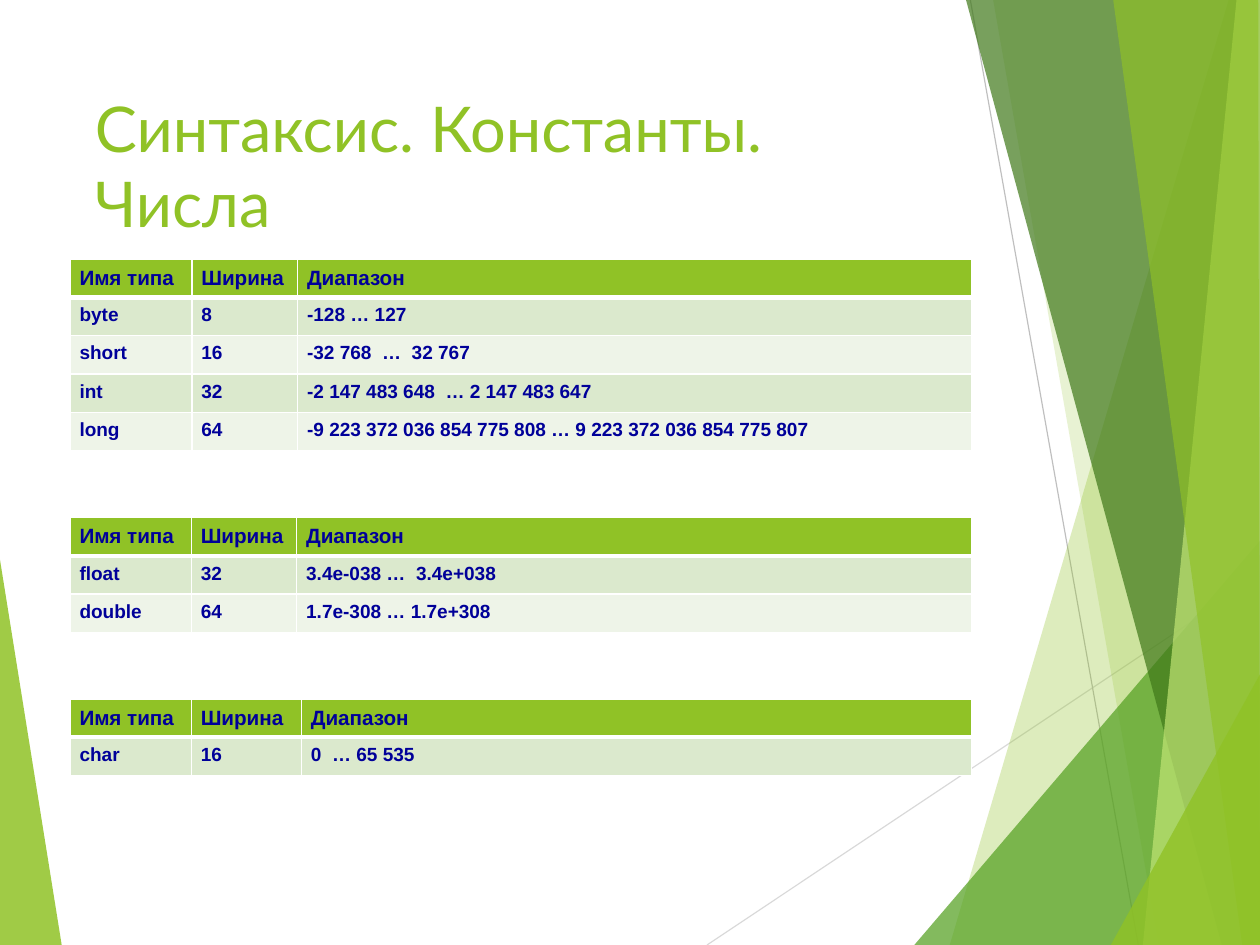
from dataclasses import dataclass

from lxml.etree import SubElement
from pptx import Presentation
from pptx.dml.color import RGBColor
from pptx.enum.shapes import MSO_CONNECTOR
from pptx.enum.text import MSO_ANCHOR, MSO_AUTO_SIZE, PP_ALIGN
from pptx.oxml.ns import qn
from pptx.util import Pt

WIDTH, HEIGHT = 793.75, 595.25

TITLE = "Синтаксис. Константы. Числа"
HEADINGS = ("Имя типа", "Ширина", "Диапазон")
TYPE_TABLES = [
    (163.3, (76.8, 66.6), [
        ("byte", "8", "-128 … 127"),
        ("short", "16", "-32 768  …  32 767"),
        ("int", "32", "-2 147 483 648  … 2 147 483 647"),
        ("long", "64", "-9 223 372 036 854 775 808 … 9 223 372 036 854 775 807"),
    ]),
    (326, (76.4, 66.4), [
        ("float", "32", "3.4е-038 …  3.4е+038"),
        ("double", "64", "1.7е-308 … 1.7е+308"),
    ]),
    (440.3, (76.4, 69.4), [
        ("char", "16", "0  … 65 535"),
    ]),
]


@dataclass(frozen=True)
class Theme:
    lime: str = "90C226"
    green: str = "54A021"
    forest: str = "3F7819"
    pale_lime: str = "C0E474"
    light_gray: str = "D9D9D9"
    gray: str = "BFBFBF"
    navy: str = "000099"
    white: str = "FFFFFF"
    bands: tuple = ("DBE9CD", "EEF4E8")
    title_font: str = "Lato"
    table_font: str = "Arial"
    title_size: float = 39.7
    heading_size: float = 13
    body_size: float = 12


theme = Theme()

LEFT_FACET = (theme.lime, 85, [(0, 352.5), (38.9, HEIGHT), (0, HEIGHT)])
RAYS = [
    (theme.light_gray, (445.4, HEIGHT), (WIDTH, 362.9)),
    (theme.gray, (611.3, 0), (717.1, HEIGHT)),
]
RIGHT_FACETS = [
    (theme.lime, 30, [(774, 0), (598.3, HEIGHT), (WIDTH, HEIGHT), (WIDTH, 0)]),
    (theme.lime, 20, [(625.7, 0), (730.1, HEIGHT), (WIDTH, HEIGHT), (WIDTH, 0)]),
    (theme.green, 72, [(576, HEIGHT), (WIDTH, 340.6), (WIDTH, HEIGHT)]),
    (theme.forest, 70, [(608.6, 0), (769.7, HEIGHT), (WIDTH, HEIGHT), (WIDTH, 0)]),
    (theme.pale_lime, 70, [(779, 0), (720, HEIGHT), (WIDTH, HEIGHT), (WIDTH, 0)]),
    (theme.lime, 65, [(701.3, 0), (782.6, HEIGHT), (WIDTH, HEIGHT), (792.7, 0)]),
    (theme.lime, 80, [(699.8, HEIGHT), (WIDTH, 424.8), (WIDTH, HEIGHT)]),
]

TABLE_LEFT, TABLE_WIDTH, ROW_HEIGHT = 44.2, 567.9, 24.1


def rgb(color):
    return RGBColor.from_string(color)


def add_facet(page, color, opacity, corners):
    points = [(Pt(x), Pt(y)) for x, y in corners]
    builder = page.shapes.build_freeform(*points[0])
    builder.add_line_segments(points[1:], close=True)
    facet = builder.convert_to_shape()
    facet.shadow.inherit = False
    facet.line.fill.background()
    facet.fill.solid()
    facet.fill.fore_color.rgb = rgb(color)
    tint = facet.element.spPr.find(qn("a:solidFill"))[0]
    SubElement(tint, qn("a:alpha"), val=str(opacity * 1000))


def add_ray(page, color, start, end):
    ray = page.shapes.add_connector(
        MSO_CONNECTOR.STRAIGHT, *(Pt(value) for value in start + end))
    ray.line.color.rgb = rgb(color)
    ray.line.width = Pt(0.75)
    SubElement(ray.element.spPr, qn("a:effectLst"))


def add_title(page):
    box = page.shapes.title
    box.left, box.top, box.width, box.height = Pt(52.5), Pt(52.5), Pt(550.8), Pt(114.5)
    frame = box.text_frame
    frame.text = TITLE
    frame.word_wrap = True
    frame.auto_size = MSO_AUTO_SIZE.NONE
    frame.vertical_anchor = MSO_ANCHOR.TOP
    para = frame.paragraphs[0]
    para.alignment = PP_ALIGN.LEFT
    style_text(para, theme.title_font, theme.title_size, theme.lime, False)


def style_text(para, font_name, size, color, bold):
    for span in para.runs:
        span.font.name = font_name
        span.font.size = Pt(size)
        span.font.bold = bold
        span.font.color.rgb = rgb(color)


def add_borders(cell, bottom_width):
    properties = cell._tc.get_or_add_tcPr()
    for side, width in (("L", 1), ("R", 1), ("T", 1), ("B", bottom_width)):
        border = SubElement(properties, qn(f"a:ln{side}"), w=str(Pt(width)))
        paint = SubElement(border, qn("a:solidFill"))
        SubElement(paint, qn("a:srgbClr"), val=theme.white)


def format_cell(cell, text, row):
    heading = row == 0
    cell.text_frame.text = text
    cell.margin_left = cell.margin_right = Pt(5.9)
    cell.margin_top = Pt(6.3 if heading else 5.9)
    cell.margin_bottom = Pt(3)
    cell.vertical_anchor = MSO_ANCHOR.TOP
    add_borders(cell, 3 if heading else 1)
    cell.fill.solid()
    cell.fill.fore_color.rgb = rgb(theme.lime if heading else theme.bands[(row - 1) % 2])
    para = cell.text_frame.paragraphs[0]
    para.line_spacing = 0.87
    size = theme.heading_size if heading else theme.body_size
    style_text(para, theme.table_font, size, theme.navy, True)


def add_type_table(page, top, first_widths, types):
    rows = [HEADINGS, *types]
    table = page.shapes.add_table(
        len(rows), len(HEADINGS), Pt(TABLE_LEFT), Pt(top),
        Pt(TABLE_WIDTH), Pt(ROW_HEIGHT * len(rows))).table
    widths = (*first_widths, TABLE_WIDTH - sum(first_widths))
    for column, width in zip(table.columns, widths):
        column.width = Pt(width)
    for row, texts in enumerate(rows):
        table.rows[row].height = Pt(ROW_HEIGHT)
        for column, text in enumerate(texts):
            format_cell(table.cell(row, column), text, row)


def main():
    deck = Presentation()
    deck.slide_width, deck.slide_height = Pt(WIDTH), Pt(HEIGHT)
    page = deck.slides.add_slide(deck.slide_layouts.get_by_name("Title Only"))
    add_facet(page, *LEFT_FACET)
    for ray in RAYS:
        add_ray(page, *ray)
    for facet in RIGHT_FACETS:
        add_facet(page, *facet)
    add_title(page)
    for type_table in TYPE_TABLES:
        add_type_table(page, *type_table)
    deck.save("out.pptx")


if __name__ == "__main__":
    main()
